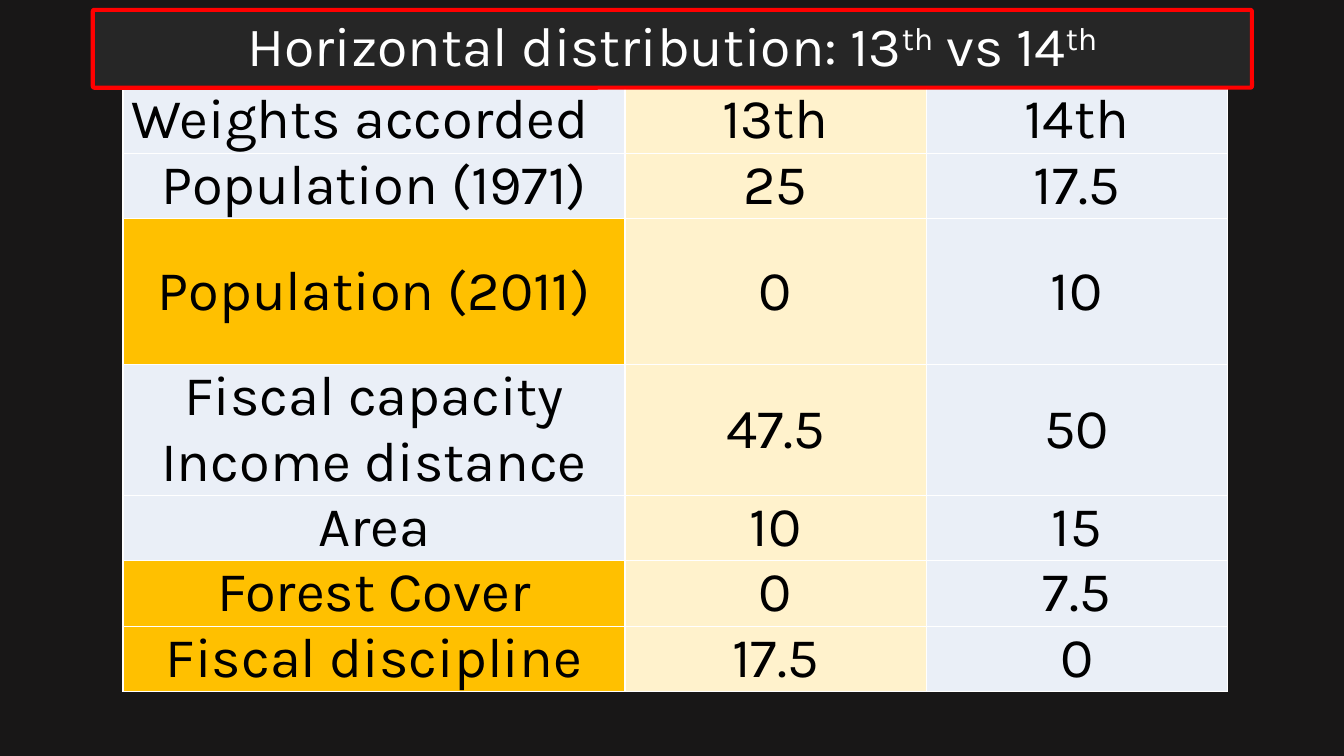
import pptx
import pptx.dml.color
import pptx.enum.shapes
import pptx.enum.text
import pptx.oxml
import pptx.oxml.ns
import pptx.util
from pptx.dml.color import RGBColor
from pptx.util import Cm

DARK = RGBColor(0x18, 0x17, 0x17)
GREY = RGBColor(0x26, 0x26, 0x26)
RED = RGBColor(0xFF, 0x00, 0x00)
WHITE = RGBColor(0xFF, 0xFF, 0xFF)
BLACK = RGBColor(0x00, 0x00, 0x00)
PALE = RGBColor(0xEA, 0xEF, 0xF7)
CREAM = RGBColor(0xFF, 0xF2, 0xCC)
GOLD = RGBColor(0xFF, 0xC0, 0x00)


def style(para, size, color):
    para.alignment = pptx.enum.text.PP_ALIGN.CENTER
    para.font.name = "Karla"
    para.font.size = pptx.util.Pt(size)
    para.font.color.rgb = color


def border(cell):
    """Put a white 1 pt line on all four sides, ahead of the fill."""
    props = cell._tc.get_or_add_tcPr()
    for i, side in enumerate(("lnL", "lnR", "lnT", "lnB")):
        line = pptx.oxml.parse_xml(
            f'<a:{side} {pptx.oxml.ns.nsdecls("a")} w="12700"><a:solidFill>'
            f'<a:srgbClr val="{WHITE}"/></a:solidFill></a:{side}>')
        props.insert(i, line)


deck = pptx.Presentation()
deck.slide_width, deck.slide_height = Cm(33.87), Cm(19.05)
slide = deck.slides.add_slide(deck.slide_layouts[6])
slide.background.fill.solid()
slide.background.fill.fore_color.rgb = DARK

# Weights table: label, 13th, 14th, row height in cm, label fill
rows = [
    ("Weights accorded", "13th", "14th", 1.35, PALE),
    ("Population (1971)", "25", "17.5", 1.35, PALE),
    ("Population (2011)", "0", "10", 3.68, GOLD),
    ("Fiscal capacity\nIncome distance", "47.5", "50", 2.46, PALE),
    ("Area", "10", "15", 1.35, PALE),
    ("Forest Cover", "0", "7.5", 1.35, GOLD),
    ("Fiscal discipline", "17.5", "0", 1.35, GOLD),
]
widths = (12.65, 7.59, 7.59)
high = sum(row[3] for row in rows)
table = slide.shapes.add_table(len(rows), len(widths), Cm(3.1), Cm(2.21),
                               Cm(sum(widths)), Cm(high)).table
for col, width in zip(table.columns, widths):
    col.width = Cm(width)
for r, (label, old, new, height, fill) in enumerate(rows):
    table.rows[r].height = Cm(height)
    for c, (text, color) in enumerate(((label, fill), (old, CREAM), (new, PALE))):
        cell = table.cell(r, c)
        cell.text = text
        cell.margin_left = cell.margin_right = Cm(0)
        cell.margin_top = cell.margin_bottom = Cm(0)
        cell.vertical_anchor = pptx.enum.text.MSO_ANCHOR.MIDDLE
        cell.fill.solid()
        cell.fill.fore_color.rgb = color
        border(cell)
        for para in cell.text_frame.paragraphs:
            style(para, 40, BLACK)
table.cell(0, 0).margin_right = Cm(0.7)

# Title bar
title = slide.shapes.add_shape(pptx.enum.shapes.MSO_SHAPE.ROUNDED_RECTANGLE,
                               Cm(2.34), Cm(0.25), Cm(29.21), Cm(1.96))
title.adjustments[0] = 0.02
title.shadow.inherit = False
title.fill.solid()
title.fill.fore_color.rgb = GREY
title.line.color.rgb = RED
title.line.width = pptx.util.Pt(3)
title.text_frame.word_wrap = True
title.text_frame.vertical_anchor = pptx.enum.text.MSO_ANCHOR.MIDDLE
para = title.text_frame.paragraphs[0]
para.line_spacing = 0.9
style(para, 39.6, WHITE)
for text in ("Horizontal distribution: 13", "th", " vs 14", "th"):
    run = para.add_run()
    run.text = text
    if text == "th":
        run._r.get_or_add_rPr().set("baseline", "30000")

deck.save("out.pptx")
